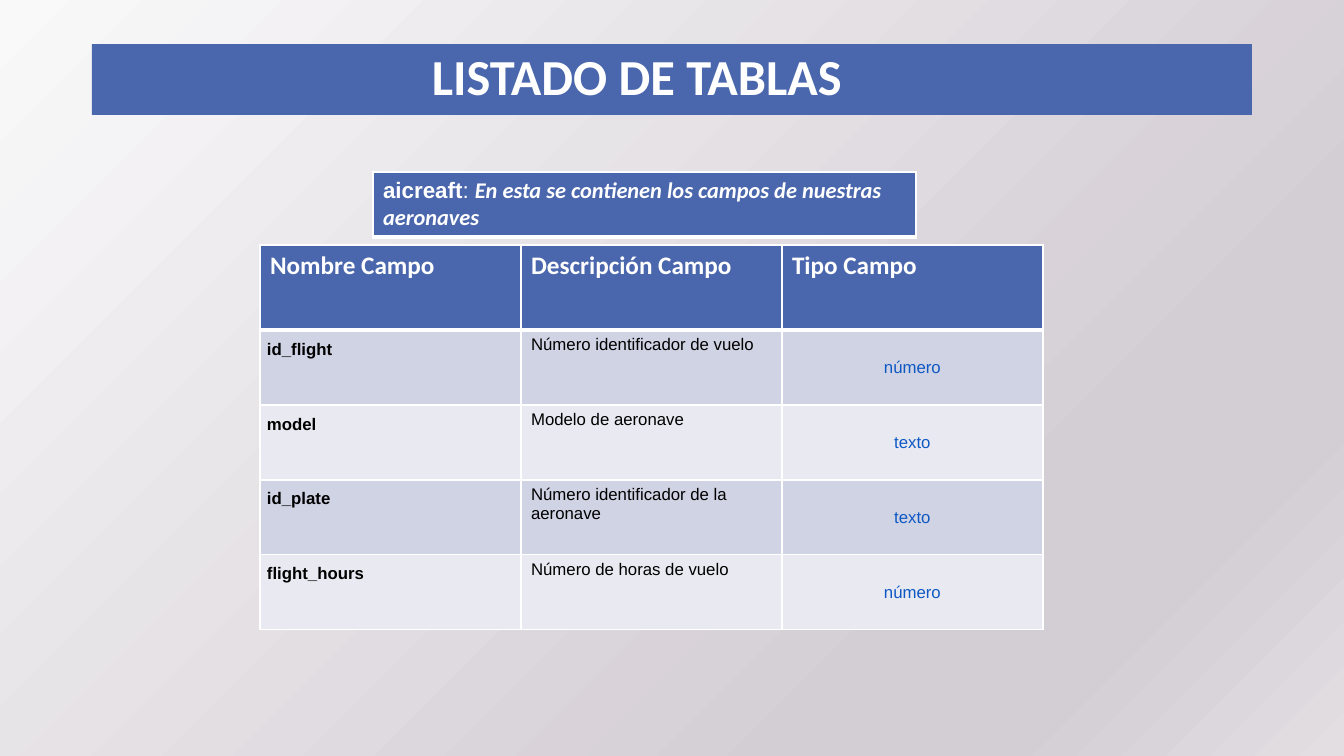
from pptx import Presentation
from pptx.dml.color import RGBColor
from pptx.enum.text import MSO_ANCHOR, MSO_AUTO_SIZE, PP_ALIGN
from pptx.oxml import parse_xml
from pptx.oxml.ns import nsdecls, qn
from pptx.util import Emu, Pt

THEME = {
    "blue": "4A66AC", "white": "FFFFFF", "black": "000000", "type": "0E58C4",
    "bands": ["D0D3E3", "E9EAF1"],
    "background": [(0, "FAF9FA"), (74, "D3CDD4"), (83, "D3CDD4"), (100, "E2DEE2")],
    "heading_font": "Calibri", "body_font": "Arial",
    "title": 36, "header": 18, "caption": 16, "body": 12,
}


def px(length):
    """Turn slide pixels (100.8 to the inch) into EMU."""
    return Emu(round(length * 914400 / 100.8))


def style_cell(cell, fill, font_name, size, color, bold, bottom_border=1):
    """Format the cell's fill, white borders and first paragraph; return the paragraph."""
    cell.fill.solid()
    cell.fill.fore_color.rgb = RGBColor.from_string(fill)
    properties = cell._tc.get_or_add_tcPr()
    borders = {"lnL": 1, "lnR": 1, "lnT": 1, "lnB": bottom_border}
    for position, (side, width) in enumerate(borders.items()):
        properties.insert(position, parse_xml(
            f'<a:{side} {nsdecls("a")} w="{Pt(width)}"><a:solidFill>'
            f'<a:srgbClr val="{THEME["white"]}"/></a:solidFill></a:{side}>'))
    paragraph = cell.text_frame.paragraphs[0]
    paragraph.font.name = font_name
    paragraph.font.size = Pt(size)
    paragraph.font.bold = bold
    paragraph.font.color.rgb = RGBColor.from_string(color)
    return paragraph


presentation = Presentation()
presentation.slide_width, presentation.slide_height = px(1344), px(756)
slide = presentation.slides.add_slide(presentation.slide_layouts[5])

# Background
slide.background.fill.solid()
background = slide.element.find(".//" + qn("p:bgPr"))
stops = "".join(f'<a:gs pos="{percent * 1000}"><a:srgbClr val="{color}"/></a:gs>'
                for percent, color in THEME["background"])
background.replace(background[0], parse_xml(
    f'<a:gradFill {nsdecls("a")} rotWithShape="1"><a:gsLst>{stops}</a:gsLst>'
    '<a:lin ang="2700000" scaled="0"/></a:gradFill>'))

# Title
title = slide.shapes.title
title.left, title.top, title.width, title.height = px(92), px(44), px(1160), px(71)
title.fill.solid()
title.fill.fore_color.rgb = RGBColor.from_string(THEME["blue"])
title.text_frame.text = "LISTADO DE TABLAS"
title.text_frame.auto_size = MSO_AUTO_SIZE.NONE
title.text_frame.vertical_anchor = MSO_ANCHOR.MIDDLE
title.text_frame.margin_left = px(340)
heading = title.text_frame.paragraphs[0]
heading.alignment = PP_ALIGN.LEFT
heading.line_spacing = 0.9
heading.font.name = THEME["heading_font"]
heading.font.size = Pt(THEME["title"])
heading.font.bold = True
heading.font.color.rgb = RGBColor.from_string(THEME["white"])

# Table caption
caption = slide.shapes.add_table(1, 1, px(373), px(172), px(543), px(64)).table
caption.first_row = caption.horz_banding = False
caption_text = style_cell(caption.cell(0, 0), THEME["blue"], THEME["body_font"],
                          THEME["caption"], THEME["white"], False, bottom_border=3)
table_name, separator, summary = [caption_text.add_run() for _ in range(3)]
table_name.text = "aicreaft"
table_name.font.bold = True
separator.text = ": "
summary.text = "En esta se contienen los campos de nuestras aeronaves"
summary.font.name = THEME["heading_font"]
summary.font.bold = summary.font.italic = True

# Field table
headers = ["Nombre Campo", "Descripción Campo", "Tipo Campo"]
records = [
    ("id_flight", "Número identificador de vuelo", "número"),
    ("model", "Modelo de aeronave", "texto"),
    ("id_plate", "Número identificador de la aeronave", "texto"),
    ("flight_hours", "Número de horas de vuelo", "número"),
]
fields = slide.shapes.add_table(len(records) + 1, len(headers),
                                px(260), px(245), px(783), px(385)).table
fields.first_row = fields.horz_banding = False
for row in fields.rows:
    row.height = px(75)
fields.rows[0].height = px(85)

for column, label in enumerate(headers):
    cell = fields.cell(0, column)
    cell.text = label
    style_cell(cell, THEME["blue"], THEME["heading_font"], THEME["header"],
               THEME["white"], True, bottom_border=3)

for index, record in enumerate(records):
    cells = [fields.cell(index + 1, column) for column in range(len(headers))]
    paragraphs = []
    for column, (cell, value) in enumerate(zip(cells, record)):
        cell.text = value
        paragraphs.append(style_cell(
            cell, THEME["bands"][index % 2], THEME["body_font"], THEME["body"],
            THEME["type"] if column == 2 else THEME["black"], column == 0))
    name_cell, _, type_cell = cells
    name_cell.margin_left = name_cell.margin_right = px(7)
    name_cell.margin_top = name_cell.margin_bottom = px(7)
    paragraphs[0].line_spacing = 1.15
    type_cell.margin_left = type_cell.margin_right = px(7)
    type_cell.margin_top = type_cell.margin_bottom = px(4)
    type_cell.vertical_anchor = MSO_ANCHOR.MIDDLE
    paragraphs[2].alignment = PP_ALIGN.CENTER

presentation.save("out.pptx")
